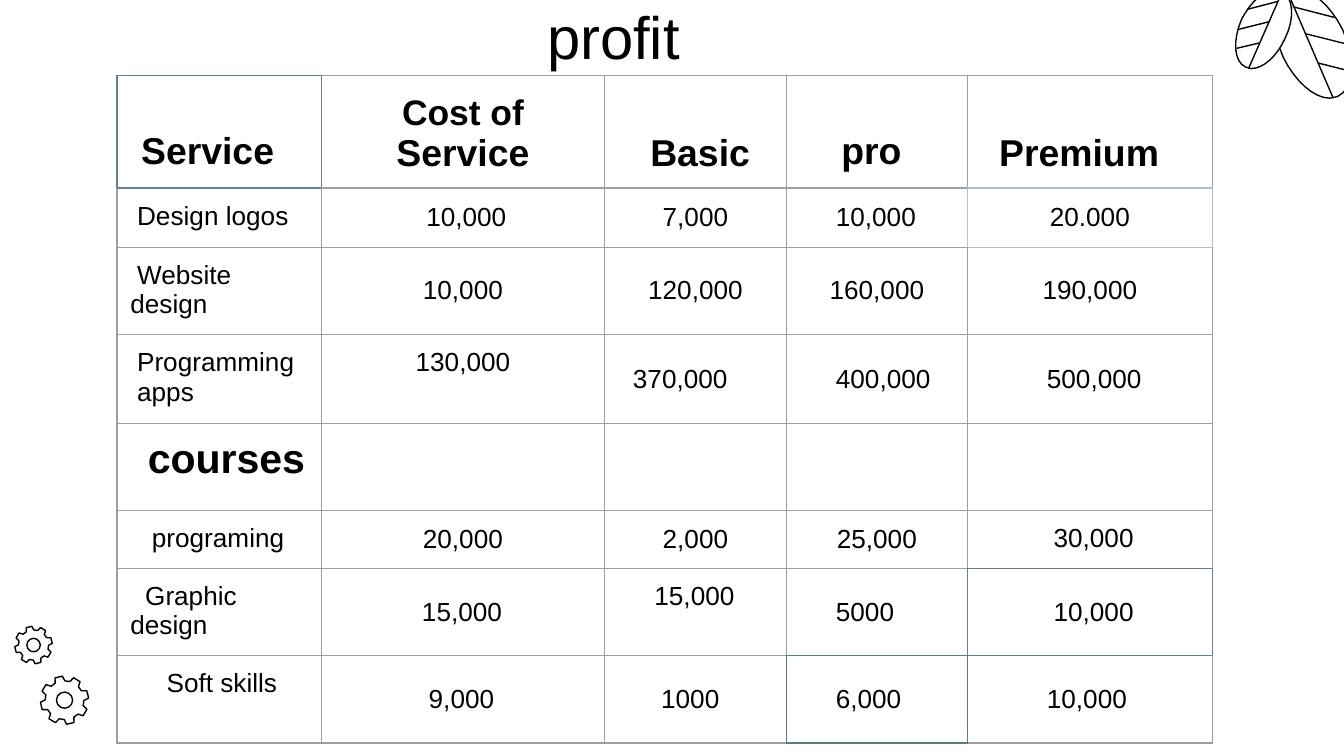
import math
from lxml import etree
from pptx import Presentation
from pptx.dml.color import RGBColor
from pptx.enum.shapes import MSO_CONNECTOR, MSO_SHAPE
from pptx.enum.text import MSO_ANCHOR, MSO_AUTO_SIZE, PP_ALIGN
from pptx.oxml.ns import qn
from pptx.util import Inches, Pt

STRAIGHT = MSO_CONNECTOR.STRAIGHT
OVAL = MSO_SHAPE.OVAL
TOP, MIDDLE, BOTTOM = MSO_ANCHOR.TOP, MSO_ANCHOR.MIDDLE, MSO_ANCHOR.BOTTOM
LEFT, CENTER = PP_ALIGN.LEFT, PP_ALIGN.CENTER
NO_AUTOFIT = MSO_AUTO_SIZE.NONE

COLORS = {
    "ink": "000000",
    "paper": "FFFFFF",
    "grid": "9E9E9E",
    "slate": "5F8195",
    "mist": "B0C1CD",
    "teal": "577B88",
}
FONT = "Arial"
LINE_WIDTH = Pt(0.75)
MARGIN = 0.1

COLUMN_WIDTHS = [1.52, 2.11, 1.35, 1.35, 1.82]
ROW_HEIGHTS = [0.84, 0.44, 0.65, 0.66, 0.65, 0.43, 0.65, 0.65]
BORDER_ACCENTS = {(0, 0): "slate", (1, 4): "mist", (6, 4): "slate", (7, 3): "teal"}
ROWS = [
    ["Service", ["Cost of ", "Service"], "Basic", "pro", "Premium"],
    ["Design logos", "10,000", "7,000", "10,000", "20.000"],
    ["Website design", "10,000", "120,000", "160,000", "190,000"],
    ["Programming apps", "130,000", "370,000", "400,000", "500,000"],
    ["courses", "", "", "", ""],
    ["programing", "20,000", "2,000", "25,000", "30,000"],
    ["Graphic design", "15,000", "15,000", "5000", "10,000"],
    ["Soft skills", "9,000", "1000", "6,000", "10,000"],
]
LEFT_MARGINS = {
    (0, 0): 0.18, (0, 3): 0.41,
    (1, 0): 0.15, (1, 3): 0.37,
    (2, 0): 0.1,
    (3, 0): 0.15, (3, 2): 0.21, (3, 3): 0.37, (3, 4): 0.59,
    (4, 0): 0.23,
    (5, 0): 0.26, (5, 4): 0.64,
    (6, 0): 0.1, (6, 1): 0.75, (6, 2): 0.37, (6, 3): 0.37, (6, 4): 0.64,
    (7, 0): 0.37, (7, 1): 0.8, (7, 2): 0.42, (7, 3): 0.37, (7, 4): 0.59,
}
CENTER_MARGINS = {(0, 2): (0.17, 0.1), (0, 4): (0.1, 0.26), (1, 1): (0.15, 0.1)}
FIRST_LINE_INDENTS = {(2, 0): 0.05, (6, 0): 0.11}
TOP_CELLS = {(3, 1), (5, 4), (6, 2)}
RAISED_CELLS = {(0, 0), (0, 3)}

LARGE_LEAF = [
    (9.89, 0.73), (9.91, 0.73), (9.94, 0.72), (9.95, 0.72),
    (10.08, 0.66), (10.09, 0.44), (9.99, 0.22),
    (9.9, 0.04), (9.76, -0.08), (9.65, -0.08),
    (9.63, -0.08), (9.61, -0.07), (9.59, -0.06),
    (9.46, 0), (9.45, 0.21), (9.55, 0.43),
    (9.64, 0.61), (9.78, 0.73), (9.89, 0.73),
]
LARGE_VEINS = [(9.62, 0.05, 9.93, 0.13), (9.71, 0.25, 10.03, 0.33),
               (9.81, 0.47, 10.05, 0.53), (9.92, 0.73, 9.58, -0.06)]
SMALL_LEAF = [
    (9.31, 0.51), (9.3, 0.51), (9.28, 0.5), (9.27, 0.5),
    (9.18, 0.46), (9.17, 0.3), (9.24, 0.14),
    (9.31, 0.01), (9.41, -0.08), (9.49, -0.08),
    (9.51, -0.08), (9.52, -0.07), (9.54, -0.07),
    (9.62, -0.02), (9.64, 0.13), (9.56, 0.29),
    (9.5, 0.42), (9.4, 0.51), (9.31, 0.51),
]
SMALL_VEINS = [(9.51, 0.01, 9.28, 0.07), (9.45, 0.16, 9.21, 0.22),
               (9.37, 0.32, 9.2, 0.36), (9.29, 0.51, 9.54, -0.06)]


def color(name):
    return RGBColor.from_string(COLORS[name])


def curve_points(controls, steps=8):
    points = [controls[0]]
    for start in range(0, len(controls) - 1, 3):
        segment = controls[start:start + 4]
        for step in range(1, steps + 1):
            t = step / steps
            weights = [(1 - t) ** 3, 3 * t * (1 - t) ** 2, 3 * t * t * (1 - t), t ** 3]
            points.append(tuple(sum(w * p[axis] for w, p in zip(weights, segment))
                                for axis in (0, 1)))
    return points


class SlideBuilder:
    def __init__(self, slide):
        self.slide = slide

    def style_font(self, font, size, bold=False):
        font.name, font.size, font.bold = FONT, Pt(size), bold
        font.color.rgb = color("ink")

    def style_outline(self, shape, filled=False):
        shape.shadow.inherit = False
        shape.line.color.rgb = color("ink")
        shape.line.width = LINE_WIDTH
        if filled:
            shape.fill.solid()
            shape.fill.fore_color.rgb = color("paper")
        else:
            shape.fill.background()

    def outline(self, points, filled=False):
        corners = [(Inches(x), Inches(y)) for x, y in points]
        builder = self.slide.shapes.build_freeform(*corners[0])
        builder.add_line_segments(corners[1:], close=True)
        self.style_outline(builder.convert_to_shape(), filled)

    def line(self, *ends):
        connector = self.slide.shapes.add_connector(STRAIGHT, *map(Inches, ends))
        connector.line.color.rgb = color("ink")
        connector.line.width = LINE_WIDTH
        etree.SubElement(connector._element.spPr, qn("a:effectLst"))

    def leaf(self, controls, veins):
        self.outline(curve_points(controls), filled=True)
        for vein in veins:
            self.line(*vein)

    def gear(self, x, y, radius, hole):
        corners = []
        for tooth in range(8):
            for offset, reach in ((-15, 0.8), (-9, 1), (9, 1), (15, 0.8)):
                angle = math.radians(45 * tooth - 14 + offset)
                corners.append((x + radius * reach * math.sin(angle),
                                y - radius * reach * math.cos(angle)))
        self.outline(corners)
        self.style_outline(self.slide.shapes.add_shape(
            OVAL, Inches(x - hole), Inches(y - hole), Inches(2 * hole), Inches(2 * hole)))

    def title(self, text, left, top, width, height):
        title = self.slide.shapes.title
        title.left, title.top, title.width, title.height = map(Inches, (left, top, width, height))
        frame = title.text_frame
        frame.text = text
        frame.auto_size, frame.word_wrap, frame.vertical_anchor = NO_AUTOFIT, True, TOP
        frame.margin_left = frame.margin_right = Inches(MARGIN)
        frame.margin_top = frame.margin_bottom = Inches(MARGIN)
        paragraph = frame.paragraphs[0]
        paragraph.alignment = LEFT
        self.style_font(paragraph.font, 32)

    def borders(self, cell, names):
        properties = cell._tc.get_or_add_tcPr()
        for side, name in zip("LRTB", names):
            border = etree.SubElement(properties, qn(f"a:ln{side}"), w=str(LINE_WIDTH))
            fill = etree.SubElement(border, qn("a:solidFill"))
            etree.SubElement(fill, qn("a:srgbClr"), val=COLORS[name])

    def cell(self, cell, place, content):
        row, column = place
        left, right = CENTER_MARGINS.get(place, (LEFT_MARGINS.get(place, MARGIN), MARGIN))
        cell.margin_left, cell.margin_right = Inches(left), Inches(right)
        cell.margin_top = Inches(MARGIN)
        cell.margin_bottom = Inches(0.12 if place in RAISED_CELLS else MARGIN)
        if row == 0:
            cell.vertical_anchor = BOTTOM
        else:
            cell.vertical_anchor = TOP if column == 0 or place in TOP_CELLS else MIDDLE
        paragraph = cell.text_frame.paragraphs[0]
        paragraph.alignment = LEFT if place in LEFT_MARGINS else CENTER
        if place in FIRST_LINE_INDENTS:
            paragraph._p.get_or_add_pPr().set("indent", str(Inches(FIRST_LINE_INDENTS[place])))
        size = 20 if row == 0 else 22 if place == (4, 0) else 14
        self.style_font(paragraph.font, size, bold=size > 14)
        if isinstance(content, list):
            for text, run_size in zip(content, (19, 20)):
                run = paragraph.add_run()
                run.text = text
                self.style_font(run.font, run_size, bold=True)
        elif content:
            paragraph.add_run().text = content

    def table(self, left, top):
        table = self.slide.shapes.add_table(
            len(ROWS), len(COLUMN_WIDTHS), Inches(left), Inches(top),
            Inches(sum(COLUMN_WIDTHS)), Inches(sum(ROW_HEIGHTS))).table
        table.first_row = table.horz_banding = False
        for column, width in zip(table.columns, COLUMN_WIDTHS):
            column.width = Inches(width)
        for row, height in zip(table.rows, ROW_HEIGHTS):
            row.height = Inches(height)

        def edges(r, c):
            return [("v", r, c), ("v", r, c + 1), ("h", r, c), ("h", r + 1, c)]

        accents = {edge: name for place, name in BORDER_ACCENTS.items() for edge in edges(*place)}
        for r, contents in enumerate(ROWS):
            for c, content in enumerate(contents):
                cell = table.cell(r, c)
                self.borders(cell, [accents.get(edge, "grid") for edge in edges(r, c)])
                cell.fill.background()
                self.cell(cell, (r, c), content)


def main():
    presentation = Presentation()
    presentation.slide_width, presentation.slide_height = Inches(10), Inches(10) * 9 // 16
    builder = SlideBuilder(presentation.slides.add_slide(presentation.slide_layouts[5]))
    builder.leaf(LARGE_LEAF, LARGE_VEINS)
    builder.leaf(SMALL_LEAF, SMALL_VEINS)
    builder.gear(0.48, 5.21, 0.18, 0.06)
    builder.gear(0.25, 4.8, 0.14, 0.05)
    builder.title("profit", 3.97, -0.1, 2.36, 0.27)
    builder.table(0.87, 0.56)
    presentation.save("out.pptx")


if __name__ == "__main__":
    main()
